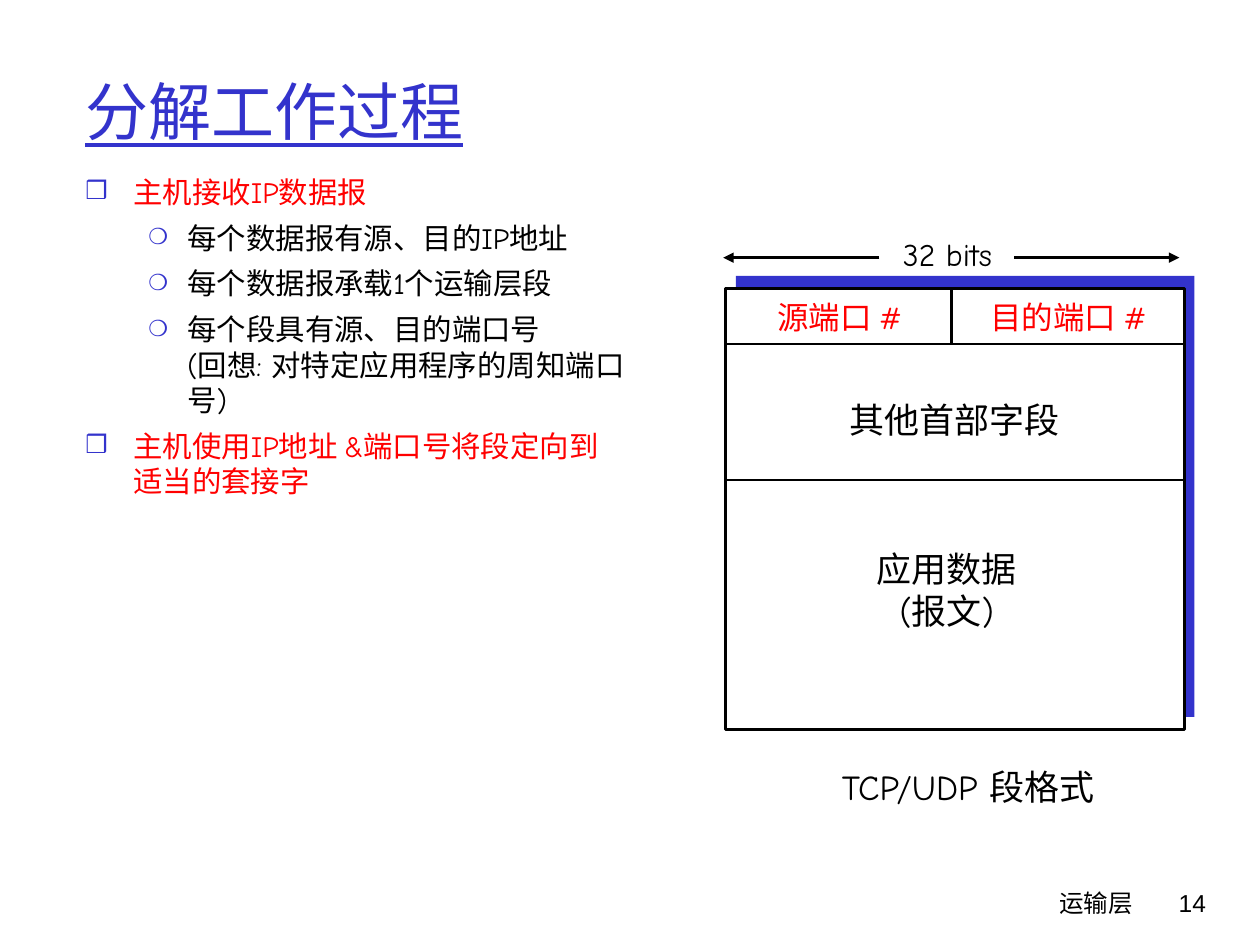
from lxml.etree import SubElement
from pptx import Presentation
from pptx.dml.color import RGBColor
from pptx.enum.shapes import MSO_CONNECTOR, MSO_SHAPE
from pptx.enum.text import MSO_ANCHOR, MSO_AUTO_SIZE, PP_ALIGN
from pptx.oxml.ns import qn
from pptx.util import Inches, Pt

COLORS = {"blue": "3333CC", "red": "FF0000", "black": "000000", "white": "FFFFFF"}
FONT = "Comic Neue"
UNIT = 0.1  # inches per grid step: 100 columns by 75 rows

# Segment frame, in grid steps
LEFT, TOP, WIDTH, HEIGHT = 57.6, 22.9, 36.4, 35
PORT_ROW, HEADER_ROW, PORT_COLUMN = 27.3, 38.1, 75.5
ARROW_ROW = 20.45

# Per outline level: bullet, bullet size in percent, margin and hanging indent in inches
LEVELS = [("❒", 85, 0.38, 0.38), ("❍", 75, 0.81, 0.31)]
OUTLINE = [
    (0, "主机接收IP数据报"),
    (1, "每个数据报有源、目的IP地址"),
    (1, "每个数据报承载1个运输层段"),
    (1, "每个段具有源、目的端口号 \v(回想: 对特定应用程序的周知端口号)"),
    (0, "主机使用IP地址 &端口号将段定向到适当的套接字"),
]


def grid(*steps):
    return [Inches(step * UNIT) for step in steps]


def color(name):
    return RGBColor.from_string(COLORS[name])


def style(paragraph, size, tint="black", font=FONT, align=PP_ALIGN.LEFT):
    paragraph.alignment = align
    paragraph.font.size = Pt(size)
    paragraph.font.name = font
    paragraph.font.color.rgb = color(tint)


def add_box(page, area, wrap=True):
    """Add a text box; one that does not wrap grows with its text."""
    frame = page.shapes.add_textbox(*grid(*area)).text_frame
    frame.word_wrap = wrap
    if not wrap:
        frame.auto_size = MSO_AUTO_SIZE.SHAPE_TO_FIT_TEXT
    return frame


def add_label(page, area, text, size, tint="black", font=FONT,
              align=PP_ALIGN.CENTER, wrap=False):
    frame = add_box(page, area, wrap)
    frame.text = text
    for paragraph in frame.paragraphs:
        style(paragraph, size, tint, font, align)
    return frame


def add_bullet(paragraph, level):
    symbol, percent, margin, hanging = LEVELS[level]
    properties = paragraph._p.get_or_add_pPr()
    properties.set("marL", str(Inches(margin)))
    properties.set("indent", str(-Inches(hanging)))
    tint = SubElement(properties, qn("a:buClr"))
    SubElement(tint, qn("a:srgbClr"), val=COLORS["blue"])
    SubElement(properties, qn("a:buSzPct"), val=str(percent * 1000))
    SubElement(properties, qn("a:buFont"), typeface=FONT)
    SubElement(properties, qn("a:buChar"), char=symbol)


def add_outline(page, area):
    frame = add_box(page, area)
    for index, (level, text) in enumerate(OUTLINE):
        paragraph = frame.add_paragraph() if index else frame.paragraphs[0]
        paragraph.text = text
        paragraph.level = level
        add_bullet(paragraph, level)
        paragraph.space_before = Pt(6 if index else 0)
        style(paragraph, 16.8, "black" if level else "red")


def add_rectangle(page, area, fill, line=None):
    box = page.shapes.add_shape(MSO_SHAPE.RECTANGLE, *grid(*area))
    box.shadow.inherit = False
    box.fill.solid()
    box.fill.fore_color.rgb = color(fill)
    if line:
        box.line.color.rgb = color(line)
        box.line.width = Pt(1.5)
    else:
        box.line.fill.background()


def add_line(page, ends, arrow=False):
    line = page.shapes.add_connector(MSO_CONNECTOR.STRAIGHT, *grid(*ends))
    line.line.color.rgb = color("black")
    line.line.width = Pt(1.5)
    if arrow:
        SubElement(line.line._get_or_add_ln(), qn("a:tailEnd"), type="triangle")
    SubElement(line._element.spPr, qn("a:effectLst"))


def add_segment(page):
    right = LEFT + WIDTH
    add_rectangle(page, (LEFT + 0.8, TOP - 1, WIDTH, HEIGHT), "blue")
    add_rectangle(page, (LEFT, TOP, WIDTH, HEIGHT), "white", "black")
    for row in (PORT_ROW, HEADER_ROW):
        add_line(page, (LEFT, row, right, row))
    add_line(page, (PORT_COLUMN, PORT_ROW, PORT_COLUMN, TOP))
    for start, end in ((80.5, 93.6), (69.8, 57.4)):
        add_line(page, (start, ARROW_ROW, end, ARROW_ROW), arrow=True)

    add_label(page, (70.2, 18.2, 10, 4), "32 bits", 18)
    add_label(page, (60.4, 23.2, 12.5, 4), "源端口 #", 18, "red")
    add_label(page, (77.3, 23.2, 15, 4), "目的端口 #", 18, "red")
    add_label(page, (66.4, 31.1, 18.7, 4.4), "其他首部字段", 20)
    add_label(page, (68.6, 43, 13.1, 7.7), "应用数据\n(报文)", 20)
    add_label(page, (65.3, 60.3, 23.1, 4.4), "TCP/UDP 段格式", 20)


def main():
    deck = Presentation()
    deck.slide_width, deck.slide_height = grid(100, 75)
    page = deck.slides.add_slide(deck.slide_layouts[6])

    title = add_label(page, (5.8, 2.5, 85, 12.5), "分解工作过程", 36, "blue",
                      align=PP_ALIGN.LEFT, wrap=True)
    title.vertical_anchor = MSO_ANCHOR.MIDDLE
    title.paragraphs[0].font.underline = True

    add_outline(page, (5.8, 13.3, 45, 30.5))
    add_segment(page)
    add_label(page, (59.2, 70, 31.7, 5), "运输层", 14, align=PP_ALIGN.RIGHT, wrap=True)
    add_label(page, (89.3, 70, 7.4, 5), "14", 14, font="Arial",
              align=PP_ALIGN.RIGHT, wrap=True)
    deck.save("out.pptx")


if __name__ == "__main__":
    main()
